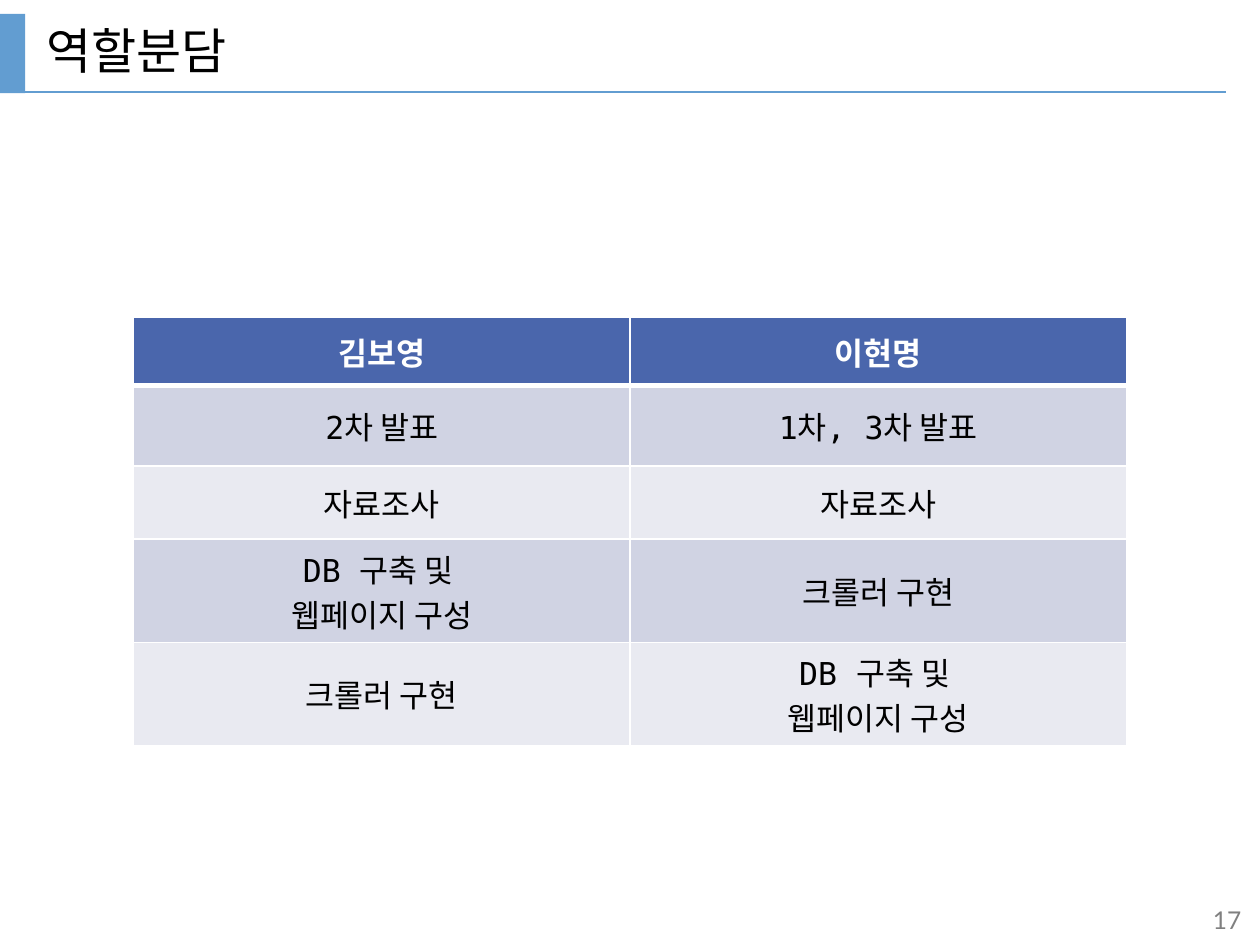
from lxml.etree import SubElement
from pptx import Presentation
from pptx.dml.color import RGBColor
from pptx.enum.shapes import MSO_CONNECTOR, MSO_SHAPE
from pptx.enum.text import MSO_ANCHOR, PP_ALIGN
from pptx.oxml import parse_xml
from pptx.oxml.ns import nsdecls, qn
from pptx.util import Inches, Pt

COLORS = {
    "accent": "629DD1",
    "header": "4A66AC",
    "odd": "D0D3E3",
    "even": "E9EAF1",
    "white": "FFFFFF",
    "black": "000000",
    "gray": "808080",
}
KOREAN = "Noto Sans CJK KR"
MONO = "DejaVu Sans Mono"
ROLES = [
    ["김보영", "이현명"],
    ["2차 발표", "1차, 3차 발표"],
    ["자료조사", "자료조사"],
    ["DB 구축 및 \n웹페이지 구성", "크롤러 구현"],
    ["크롤러 구현", "DB 구축 및 \n웹페이지 구성"],
]
ROW_HEIGHTS = [0.54, 0.64, 0.58, 0.82, 0.82]
COLUMN_WIDTH = 3.94


def color(name):
    """Return the named palette color."""
    return RGBColor.from_string(COLORS[name])


def write_text(frame, text, size=18, font=MONO, ink="black", bold=False, align=PP_ALIGN.LEFT):
    """Fill a text frame, one paragraph per line of text."""
    for index, line in enumerate(text.split("\n")):
        para = frame.add_paragraph() if index else frame.paragraphs[0]
        para.alignment = align
        span = para.add_run()
        span.text = line
        span.font.size = Pt(size)
        span.font.name = font
        span.font.bold = bold
        span.font.color.rgb = color(ink)
        SubElement(span.font._element, qn("a:ea"), typeface=KOREAN)


def add_label(page, place, text, **style):
    """Add a wrapped, vertically centred text box."""
    box = page.shapes.add_textbox(*map(Inches, place))
    box.text_frame.word_wrap = True
    box.text_frame.vertical_anchor = MSO_ANCHOR.MIDDLE
    write_text(box.text_frame, text, **style)


def add_bar(page, place):
    """Add the solid accent bar beside the title."""
    bar = page.shapes.add_shape(MSO_SHAPE.RECTANGLE, *map(Inches, place))
    bar.shadow.inherit = False
    bar.fill.solid()
    bar.fill.fore_color.rgb = color("accent")
    bar.line.fill.background()


def add_rule(page, ends):
    """Add the thin line under the title."""
    rule = page.shapes.add_connector(MSO_CONNECTOR.STRAIGHT, *map(Inches, ends))
    rule.line.color.rgb = color("accent")
    rule.line.width = Pt(0.75)
    SubElement(rule._element.spPr, qn("a:effectLst"))


def set_borders(cell, **widths):
    """Draw white cell borders with the given widths in points."""
    properties = cell._tc.get_or_add_tcPr()
    for index, side in enumerate("LRTB"):
        border = parse_xml(
            f'<a:ln{side} {nsdecls("a")} w="{Pt(widths.get(side, 1))}"><a:solidFill>'
            f'<a:srgbClr val="{COLORS["white"]}"/></a:solidFill></a:ln{side}>'
        )
        properties.insert(index, border)


def add_roles(page, left, top):
    """Add the banded table of roles."""
    columns = len(ROLES[0])
    frame = page.shapes.add_table(
        len(ROLES), columns, Inches(left), Inches(top),
        Inches(columns * COLUMN_WIDTH), Inches(sum(ROW_HEIGHTS)),
    )
    table = frame.table
    for column in table.columns:
        column.width = Inches(COLUMN_WIDTH)
    for row, texts in enumerate(ROLES):
        table.rows[row].height = Inches(ROW_HEIGHTS[row])
        header = row == 0
        fill = "header" if header else "odd" if row % 2 else "even"
        for column, text in enumerate(texts):
            cell = table.cell(row, column)
            cell.vertical_anchor = MSO_ANCHOR.MIDDLE
            cell.fill.solid()
            cell.fill.fore_color.rgb = color(fill)
            set_borders(cell, T=3 if row == 1 else 1, B=3 if header else 1)
            write_text(cell.text_frame, text, bold=header,
                       ink="white" if header else "black", align=PP_ALIGN.CENTER)


def main():
    """Build the role assignment slide."""
    deck = Presentation()
    deck.slide_width, deck.slide_height = Inches(10), Inches(7.5)
    page = deck.slides.add_slide(deck.slide_layouts[6])
    add_label(page, (8.64, 7.1, 1.36, 0.4), "17 ", size=14, font="Lato",
              ink="gray", align=PP_ALIGN.RIGHT)
    add_bar(page, (0, 0.11, 0.2, 0.63))
    add_rule(page, (0, 0.73, 9.73, 0.73))
    add_label(page, (0.27, 0, 9.45, 0.8), "역할분담", size=28, font=KOREAN)
    add_roles(page, 1.06, 2.52)
    deck.save("out.pptx")


if __name__ == "__main__":
    main()
